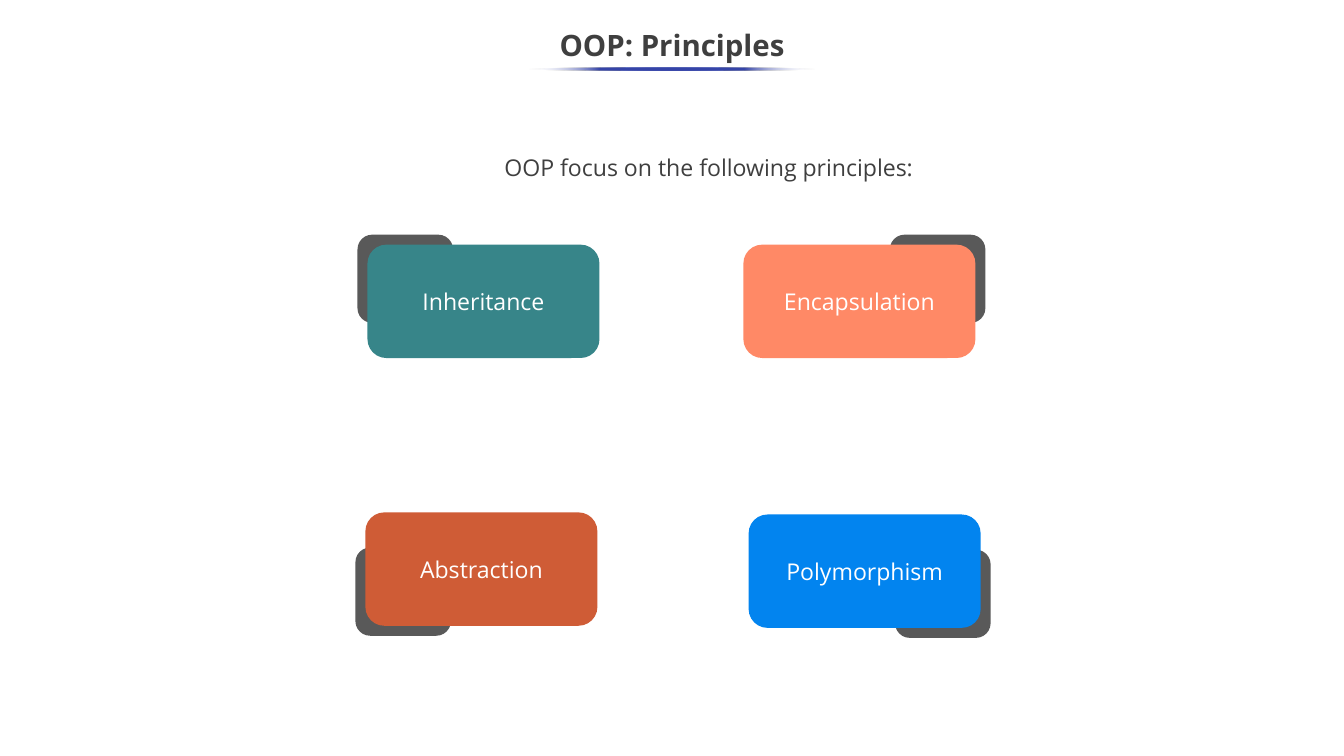
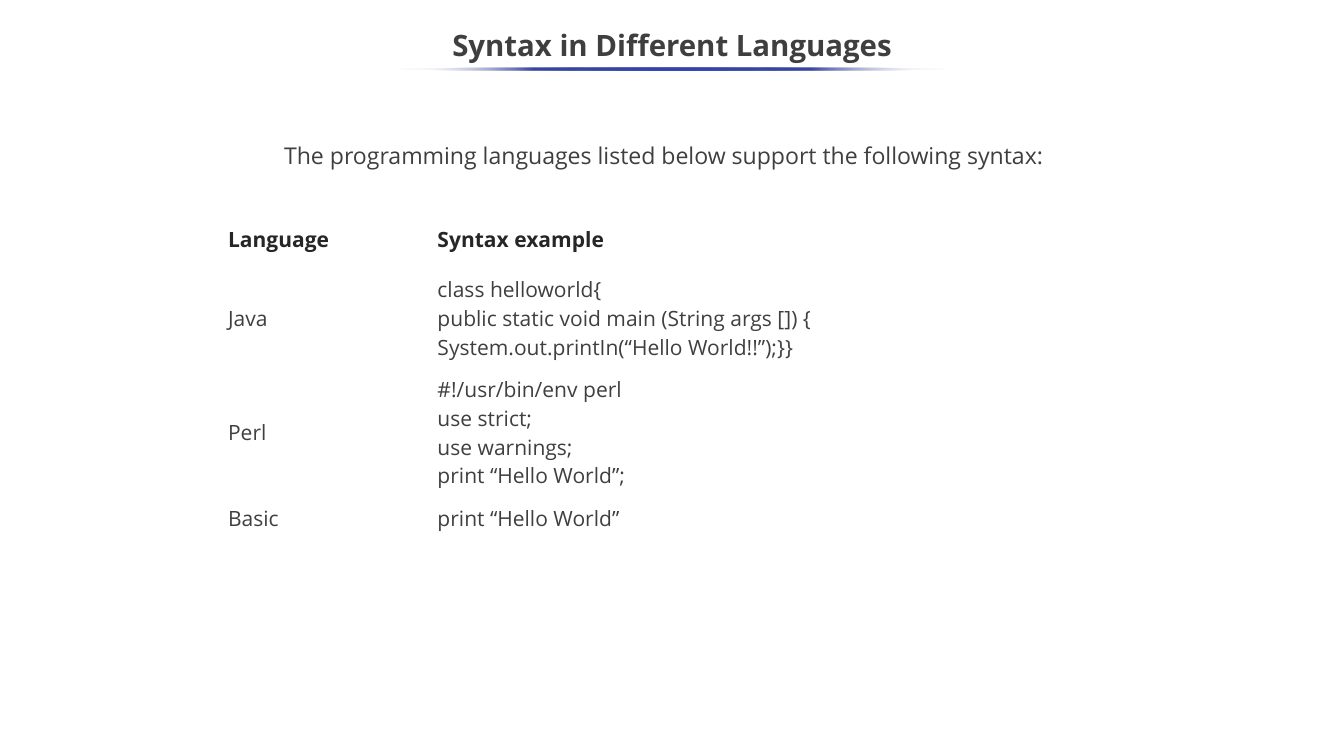
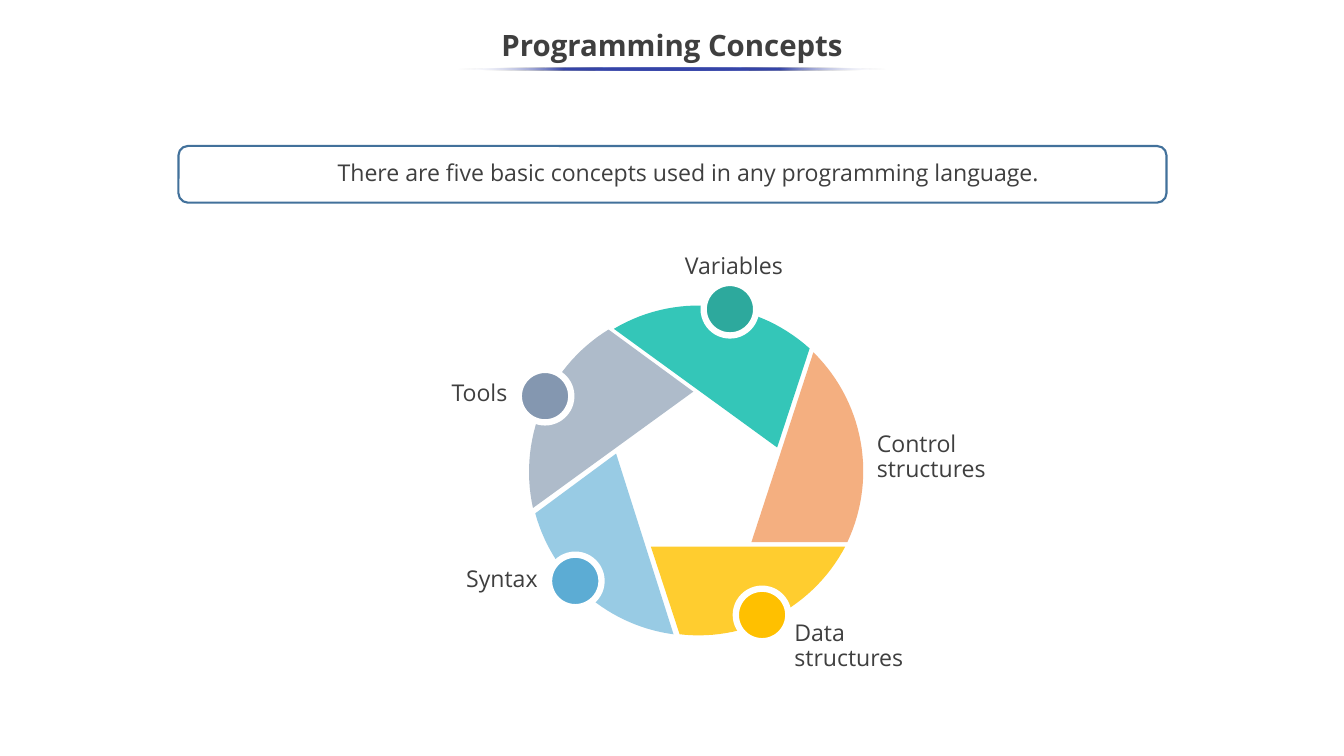
from dataclasses import dataclass
from math import atan2, cos, hypot, sin, tau

from lxml.etree import SubElement
from pptx import Presentation
from pptx.dml.color import RGBColor
from pptx.enum.shapes import MSO_SHAPE
from pptx.enum.text import MSO_ANCHOR, PP_ALIGN
from pptx.oxml.ns import qn
from pptx.util import Pt


@dataclass(frozen=True)
class Theme:
    """Colours, typeface and type sizes shared by all slides."""

    font: str = "Open Sans"
    title_size: int = 28
    body_size: int = 22
    table_size: int = 20
    text: str = "3F3F3F"
    heading: str = "262626"
    white: str = "FFFFFF"
    underline: str = "3645A9"
    frame: str = "42719B"
    backing: str = "595959"


@dataclass(frozen=True)
class Box:
    """A rectangle in points."""

    left: float
    top: float
    width: float
    height: float

    def inner(self, left, top, width, height):
        """Return a box placed relative to this box's top left corner."""
        return Box(self.left + left, self.top + top, width, height)

    def lengths(self):
        """Return the four lengths for a python-pptx call."""
        return Pt(self.left), Pt(self.top), Pt(self.width), Pt(self.height)


THEME = Theme()
PAGE = Box(0, 0, 1280, 720)

CARDS = [
    ("Abstraction", "CF5C36", 0, 255, False, True),
    ("Inheritance", "378589", 2, 0, False, False),
    ("Encapsulation", "FF8966", 360, 0, True, False),
    ("Polymorphism", "0284EF", 365, 257, True, True),
]

SYNTAX_ROWS = [
    (50, "Language", "Syntax example"),
    (101.5, "Java", "class helloworld{\npublic static void main (String args []) {\n"
                    "System.out.printIn(“Hello World!!”);}}"),
    (115, "Perl", "#!/usr/bin/env perl\nuse strict;\nuse warnings;\nprint “Hello World”;"),
    (50, "Basic", "print “Hello World”"),
]

BLADES = [
    ("34C6B8", (-78.8, -135), (107.6, -116.3), (76.7, -22)),
    ("FFCD2F", (141.5, 72.4), (-16.2, 155.9), (-43.6, 72.4)),
    ("F4AF80", (111.2, -112.7), (143.6, 68), (52.2, 68)),
    ("AEBBCA", (-155.9, 35.6), (-83.9, -134.3), (-3.2, -75.2)),
    ("98CBE4", (-22, 155.9), (-153.7, 40.7), (-76.7, -16.2)),
]

KNOBS = [
    ("2DA99D", 31.7, -153.7),
    ("8497B0", -144.4, -70.9),
    ("5CACD4", -115.6, 105.1),
    ("FFC000", 62.3, 137.5),
]

WHEEL_LABELS = [
    ("Variables", -36.4, -211.3, 152.6, 34, PP_ALIGN.LEFT),
    ("Control structures", 146.5, -42.8, 140.4, 60.5, PP_ALIGN.LEFT),
    ("Data structures", 68, 137.2, 144, 60.5, PP_ALIGN.LEFT),
    ("Syntax", -347.4, 86.8, 203, 34, PP_ALIGN.RIGHT),
    ("Tools", -315, -90.4, 141.8, 34, PP_ALIGN.RIGHT),
]


def write_text(frame, text, *, size=THEME.body_size, color=THEME.text, bold=False,
               align=PP_ALIGN.LEFT, spacing=None, margin=0):
    """Fill a text frame with one formatted paragraph per line of text."""
    for index, line in enumerate(text.split("\n")):
        paragraph = frame.add_paragraph() if index else frame.paragraphs[0]
        paragraph.alignment = align
        if spacing:
            paragraph.line_spacing = spacing
        if margin:
            paragraph._p.get_or_add_pPr().set("marL", str(Pt(margin)))
        run = paragraph.add_run()
        run.text = line
        run.font.name = THEME.font
        run.font.size = Pt(size)
        run.font.bold = bold
        run.font.color.rgb = RGBColor.from_string(color)


def add_text(slide, box, text, anchor=MSO_ANCHOR.MIDDLE, **style):
    """Add a wrapping text box."""
    frame = slide.shapes.add_textbox(*box.lengths()).text_frame
    frame.word_wrap = True
    frame.vertical_anchor = anchor
    write_text(frame, text, **style)


def paint(shape, fill=None, line=None, width=0):
    """Give a shape a flat fill and line without a shadow."""
    shape.shadow.inherit = False
    if fill:
        shape.fill.solid()
        shape.fill.fore_color.rgb = RGBColor.from_string(fill)
    else:
        shape.fill.background()
    if line:
        shape.line.color.rgb = RGBColor.from_string(line)
        shape.line.width = Pt(width)
    else:
        shape.line.fill.background()
    return shape


def add_preset(slide, kind, box, **colors):
    """Add a painted preset shape."""
    return paint(slide.shapes.add_shape(kind, *box.lengths()), **colors)


def add_title(slide, box, text, underline_width):
    """Add the centred title with its fading underline."""
    add_text(slide, box, text, size=THEME.title_size, bold=True,
             align=PP_ALIGN.CENTER, spacing=0.9)
    underline = add_preset(slide, MSO_SHAPE.OVAL, box.inner(
        (box.width - underline_width) / 2, 46, underline_width, 3))
    underline.fill.gradient()
    underline.fill.gradient_angle = 180
    stops = underline._element.spPr.find(qn("a:gradFill")).find(qn("a:gsLst"))
    for stop in list(stops):
        stops.remove(stop)
    for position in range(0, 101, 25):
        faded = position in (0, 100)
        stop = SubElement(stops, qn("a:gs"), pos=str(position * 1000))
        color = SubElement(stop, qn("a:srgbClr"), val=THEME.white if faded else THEME.underline)
        if faded:
            SubElement(color, qn("a:alpha"), val="0")


def add_card(slide, box, text, color, on_right, on_bottom):
    """Add a card whose backing sticks out at one corner."""
    overhang, width, height = 9.5, 91, 84
    left = box.width + overhang - width if on_right else -overhang
    top = box.height + overhang - height if on_bottom else -overhang
    add_preset(slide, MSO_SHAPE.ROUNDED_RECTANGLE, box.inner(left, top, width, height),
               fill=THEME.backing)
    card = add_preset(slide, MSO_SHAPE.ROUNDED_RECTANGLE, box, fill=color)
    card.text_frame.vertical_anchor = MSO_ANCHOR.MIDDLE
    write_text(card.text_frame, text, color=THEME.white, align=PP_ALIGN.CENTER)


def add_cards(slide, box):
    """Add the four principle cards."""
    for text, color, left, top, on_right, on_bottom in CARDS:
        add_card(slide, box.inner(left, top, 221, 108), text, color, on_right, on_bottom)


def add_syntax_table(slide, box):
    """Add the plain table of languages and code."""
    table = slide.shapes.add_table(len(SYNTAX_ROWS), 2, *box.lengths()).table
    table.first_row = table.horz_banding = False
    table.columns[0].width = Pt(199.5)
    table.columns[1].width = Pt(box.width - 199.5)
    for row, (height, *texts) in enumerate(SYNTAX_ROWS):
        table.rows[row].height = Pt(height)
        for column, text in enumerate(texts):
            cell = table.cell(row, column)
            cell.fill.background()
            cell.vertical_anchor = MSO_ANCHOR.MIDDLE
            write_text(cell.text_frame, text, size=THEME.table_size, bold=row == 0,
                       color=THEME.text if row else THEME.heading)


def arc_points(start, end, steps=30):
    """Return points clockwise around the origin from start to end."""
    first_angle = atan2(start[1], start[0])
    sweep = (atan2(end[1], end[0]) - first_angle) % tau
    first_radius, last_radius = hypot(*start), hypot(*end)
    points = []
    for step in range(steps + 1):
        share = step / steps
        radius = first_radius + (last_radius - first_radius) * share
        angle = first_angle + sweep * share
        points.append((radius * cos(angle), radius * sin(angle)))
    return points


def add_blade(slide, center, color, start, end, corner):
    """Add one wheel blade: an outer arc closed at an inner corner."""
    points = [(Pt(center.left + x), Pt(center.top + y))
              for x, y in [*arc_points(start, end), corner]]
    builder = slide.shapes.build_freeform(*points[0])
    builder.add_line_segments(points[1:], close=True)
    paint(builder.convert_to_shape(), fill=color)


def add_wheel(slide, box):
    """Add the wheel of concepts with its knobs and labels."""
    center = box.inner(box.width / 2, box.height / 2, 0, 0)
    for blade in BLADES:
        add_blade(slide, center, *blade)
    for color, x, y in KNOBS:
        add_preset(slide, MSO_SHAPE.OVAL, center.inner(x - 25, y - 25, 50, 50),
                   fill=color, line=THEME.white, width=6)
    for text, left, top, width, height, align in WHEEL_LABELS:
        add_text(slide, center.inner(left, top, width, height), text, align=align,
                 spacing=0.9, margin=18 if align == PP_ALIGN.LEFT else 0)


def add_framed_intro(slide, box, text):
    """Add an introduction inside a rounded frame."""
    add_preset(slide, MSO_SHAPE.ROUNDED_RECTANGLE, box, line=THEME.frame, width=2)
    add_text(slide, box.inner(144.5, 8.5, 770, 34), text, anchor=MSO_ANCHOR.TOP)


def add_slide(presentation, title, underline_width):
    """Add a blank slide with the shared title."""
    slide = presentation.slides.add_slide(presentation.slide_layouts[6])
    add_title(slide, PAGE.inner(0, 18, PAGE.width, 54), title, underline_width)
    return slide


def main():
    """Build and save the three slides."""
    presentation = Presentation()
    presentation.slide_width = Pt(PAGE.width)
    presentation.slide_height = Pt(PAGE.height)

    slide = add_slide(presentation, "OOP: Principles", 274)
    add_cards(slide, Box(348, 233, 586, 365))
    add_text(slide, Box(211.5, 122.5, 927, 73), "OOP focus on the following principles:",
             align=PP_ALIGN.CENTER)

    slide = add_slide(presentation, "Syntax in Different Languages", 524)
    add_syntax_table(slide, Box(210, 202.5, 860, 316.5))
    add_text(slide, Box(263.5, 131.5, 753, 34),
             "The programming languages listed below support the following syntax:",
             anchor=MSO_ANCHOR.TOP)

    slide = add_slide(presentation, "Programming Concepts", 408)
    add_framed_intro(slide, Box(170, 139, 941, 54),
                     "There are five basic concepts used in any programming language.")
    add_wheel(slide, Box(504, 290.7, 319, 315))

    presentation.save("out.pptx")


if __name__ == "__main__":
    main()
